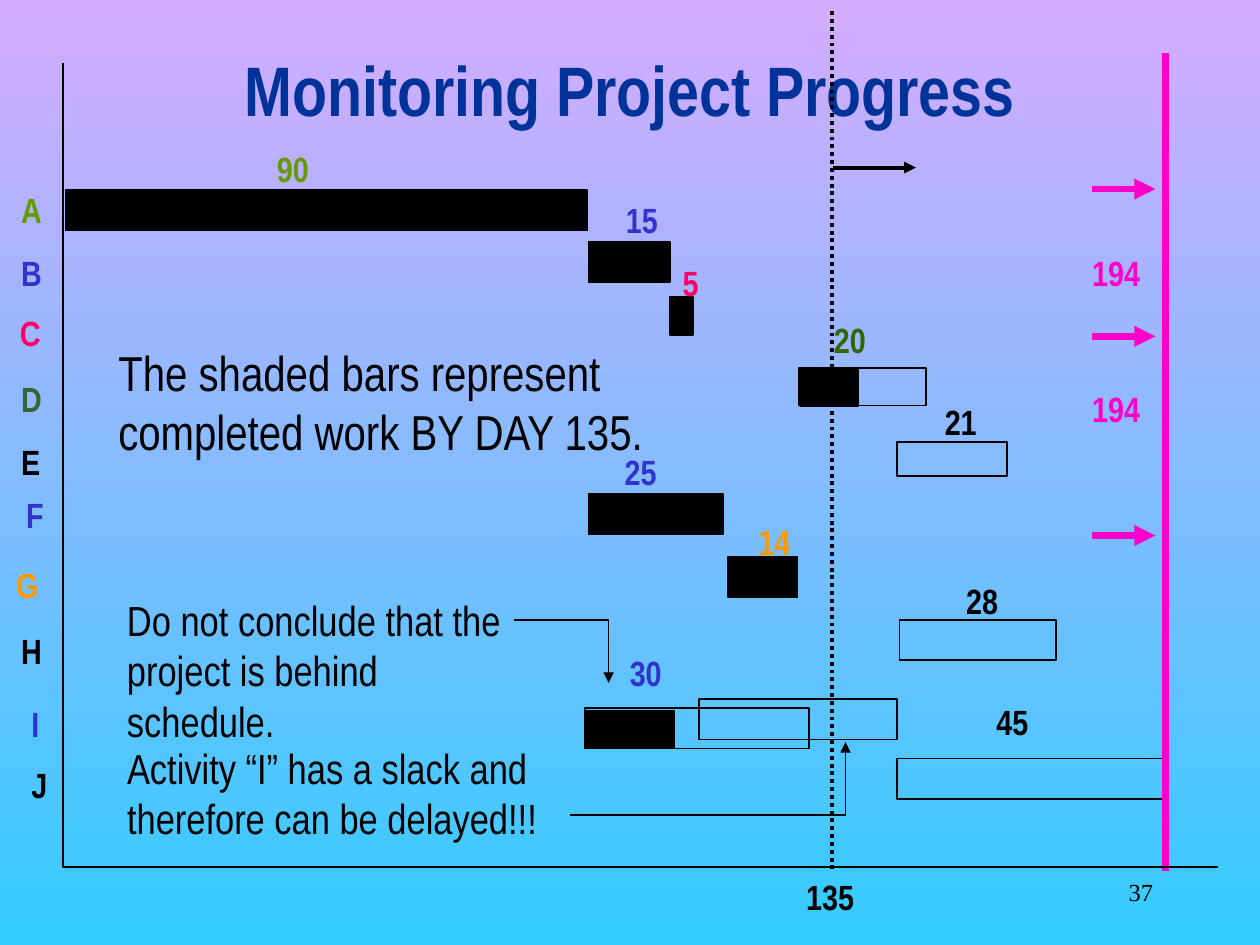
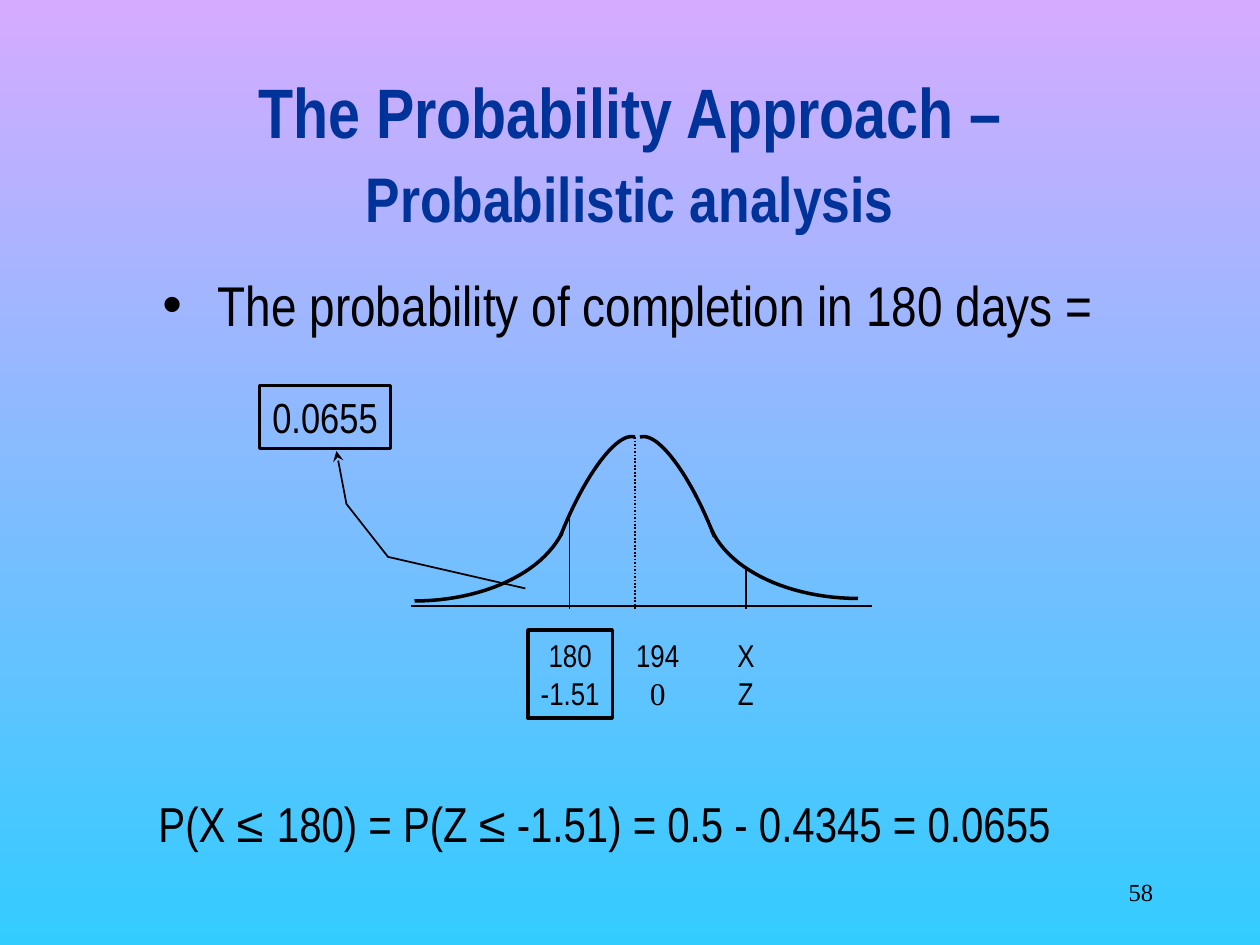
"""Build two project scheduling slides: a progress Gantt chart and a normal curve."""
from lxml.etree import SubElement
from pptx import Presentation
from pptx.dml.color import RGBColor
from pptx.enum.dml import MSO_LINE
from pptx.enum.shapes import MSO_CONNECTOR, MSO_SHAPE
from pptx.enum.text import MSO_ANCHOR, MSO_AUTO_SIZE, PP_ALIGN
from pptx.oxml.ns import qn
from pptx.util import Pt

PX = 9144
rgb = RGBColor.from_string
BLACK, NAVY, PINK = "000000", "003399", "FF00CC"
GREEN, BLUE, RED, ORANGE = "669900", "3333CC", "FF0066", "FF9900"
NARROW, TIMES = "Arial Narrow", "Times New Roman"
LABEL = {"size": Pt(20), "bold": True}
TITLE = {"size": Pt(40), "bold": True}
NOTE = {"size": Pt(24)}
BIG = {"size": Pt(28)}
TICK = {"size": Pt(18)}


def add_text(s, box, paras, fmt, color=BLACK, align=PP_ALIGN.LEFT, fit=True, border=0):
    tb = s.shapes.add_textbox(*[v * PX for v in box])
    if border:
        tb.line.color.rgb = rgb(BLACK)
        tb.line.width = Pt(border)
    tf = tb.text_frame
    tf.word_wrap = not fit
    tf.auto_size = MSO_AUTO_SIZE.SHAPE_TO_FIT_TEXT if fit else MSO_AUTO_SIZE.NONE
    tf.vertical_anchor = MSO_ANCHOR.TOP if fit else MSO_ANCHOR.MIDDLE
    for i, para in enumerate(paras):
        p = tf.add_paragraph() if i else tf.paragraphs[0]
        p.alignment = align
        for content, extra in [(para, {})] if isinstance(para, str) else para:
            r = p.add_run()
            r.text = content
            r.font.color.rgb = rgb(color)
            for name, value in {"name": NARROW, **fmt, **extra}.items():
                setattr(r.font, name, value)
    return tf


def add_path(s, pts, color=BLACK, width=1.0, dash=None, arrow=None):
    pts = [(round(x * PX), round(y * PX)) for x, y in pts]
    if len(pts) == 2:
        shp = s.shapes.add_connector(MSO_CONNECTOR.STRAIGHT, *pts[0], *pts[1])
    else:
        fb = s.shapes.build_freeform(*pts[0])
        fb.add_line_segments(pts[1:], close=False)
        shp = fb.convert_to_shape()
        shp.fill.background()
    shp.line.color.rgb = rgb(color)
    shp.line.width = Pt(width)
    if dash:
        shp.line.dash_style = dash
    spPr = shp.element.spPr
    if arrow:
        SubElement(spPr.get_or_add_ln(), qn("a:tailEnd"), type=arrow)
    SubElement(spPr, qn("a:effectLst"))


prs = Presentation()
prs.slide_width, prs.slide_height = 1000 * PX, 750 * PX
fill = prs.slide_master.background.fill
fill.gradient()
fill.gradient_angle = 270
for stop, position, color in zip(fill.gradient_stops, (0, 1), ("D5ABFF", "33CCFF")):
    stop.position = position
    stop.color.rgb = rgb(color)

titles = [
    (37, (75, 33, 850, 75), ["Monitoring Project Progress"]),
    (58, (75, 58, 850, 125), ["The Probability Approach –",
                              [("Probabilistic analysis", {"size": Pt(36)})]]),
]
slides = []
for number, box, title in titles:
    s = prs.slides.add_slide(prs.slide_layouts[6])
    tf = add_text(s, box, title, TITLE, NAVY, PP_ALIGN.CENTER, fit=False)
    for p in tf.paragraphs[1:]:
        p.space_before = Pt(4)
    add_text(s, (717, 683, 208, 50), [str(number)], {"size": Pt(14), "name": TIMES},
             align=PP_ALIGN.RIGHT, fit=False)
    slides.append(s)
gantt, curve = slides

s = gantt
activities = [
    ("A", (7, 145, 37), GREEN, "90", (210, 112, 46), GREEN),
    ("B", (7, 195, 37), BLUE, "15", (487, 153, 46), BLUE),
    ("C", (6, 242, 37), RED, "5", (532, 203, 33), RED),
    ("D", (7, 295, 37), "336633", "20", (652, 248, 46), "336600"),
    ("E", (7, 345, 35), BLACK, "21", (740, 313, 46), BLACK),
    ("F", (11, 387, 32), BLUE, "25", (486, 353, 46), BLUE),
    ("G", (3, 442, 38), ORANGE, "14", (592, 408, 46), ORANGE),
    ("H", (7, 495, 37), BLACK, "28", (757, 455, 46), BLACK),
    ("I", (15, 553, 27), BLUE, "30", (490, 512, 46), BLUE),
    ("J", (15, 601, 33), BLACK, "45", (781, 551, 46), BLACK),
]
bars = [
    (52, 151, 414, 32, True), (467, 192, 65, 32, True), (532, 236, 18, 30, True),
    (634, 292, 101, 30, False), (712, 351, 87, 27, False), (467, 392, 107, 32, True),
    (578, 442, 55, 32, True), (714, 492, 124, 32, False), (464, 562, 178, 32, False),
    (712, 602, 212, 32, False), (555, 555, 157, 32, False),
    (635, 293, 46, 29, True), (464, 564, 71, 30, True),
]
add_path(s, [(660, 690), (660, 7)], width=2.25, dash=MSO_LINE.ROUND_DOT)
for *box, done in bars:
    bar = s.shapes.add_shape(MSO_SHAPE.RECTANGLE, *[v * PX for v in box])
    bar.shadow.inherit = False
    bar.line.color.rgb = rgb(BLACK)
    bar.line.width = Pt(1)
    if done:
        bar.fill.solid()
        bar.fill.fore_color.rgb = rgb(BLACK)
    else:
        bar.fill.background()
for letter, (x, y, w), color, days, (dx, dy, dw), days_color in activities:
    add_text(s, (x, y, w, 43), [letter], LABEL, color)
    add_text(s, (dx, dy, dw, 43), [days], LABEL, days_color)

add_path(s, [(925, 691), (925, 42)], PINK, 4)
for y in (150, 267, 425):
    add_path(s, [(867, y), (917, y)], PINK, 4, arrow="triangle")
for y in (195, 303):
    add_text(s, (857, y, 58, 43), ["194"], LABEL, PINK)
add_path(s, [(50, 50), (50, 688), (967, 688)])
add_text(s, (630, 690, 58, 43), ["135"], LABEL)
add_path(s, [(661, 133), (727, 133)], width=2.25, arrow="triangle")

add_text(s, (84, 267, 448, 104),
         ["The shaded bars represent", "completed work BY DAY 135."], BIG)
add_text(s, (91, 467, 343, 90),
         ["Do not conclude that the", "project is behind schedule."], NOTE)
add_text(s, (91, 584, 345, 90),
         ["Activity “I” has a slack and", "therefore can be delayed!!!"], NOTE)
add_path(s, [(408, 492), (483, 492), (483, 542)], arrow="triangle")
add_path(s, [(452, 647), (671, 647), (671, 589)], arrow="triangle")

s = curve
tf = add_text(s, (119, 210, 789, 63), ["The probability of completion in 180 days ="],
              {"size": Pt(32)}, fit=False)
pPr = tf.paragraphs[0]._p.get_or_add_pPr()
pPr.set("marL", str(44 * PX))
pPr.set("indent", str(-44 * PX))
SubElement(pPr, qn("a:buFont"), typeface="Arial")
SubElement(pPr, qn("a:buChar"), char="•")

arial = {"name": "Arial"}
add_text(s, (116, 625, 773, 57), [[
    ("P(X ", {}), ("≤ ", arial), ("180) = P(Z ", {}), ("≤", arial),
    (" -1.51) = 0.5 - 0.4345 = 0.0655", {})]], BIG)

ticks = [
    ((419, 500, 67, 70), ["180", "-1.51"], TICK, 2),
    ((495, 500, 54, 70), ["194", [("0", {"name": TIMES})]], TICK, 0),
    ((575, 500, 34, 70), ["X", "Z"], TICK, 0),
    ((206, 306, 104, 50), ["0.0655"], NOTE, 2),
]
for box, paras, fmt, border in ticks:
    add_text(s, box, paras, fmt, align=PP_ALIGN.CENTER, border=border)

beziers = [
    [(446, 423), (430, 455), (383, 477), (329, 477)],
    [(681, 475), (627, 475), (580, 453), (565, 421)],
    [(445, 425), (464, 377), (490, 342), (504, 347)],
    [(508, 347), (522, 342), (548, 377), (567, 426)],
]
for ctrl in beziers:
    pts = []
    for i in range(25):
        t = i / 24
        weights = ((1 - t) ** 3, 3 * t * (1 - t) ** 2, 3 * t * t * (1 - t), t ** 3)
        pts.append([sum(k * v for k, v in zip(weights, axis)) for axis in zip(*ctrl)])
    add_path(s, pts, width=2)

add_path(s, [(326, 481), (692, 481)])
add_path(s, [(504, 347), (504, 483)], dash=MSO_LINE.ROUND_DOT)
for x, y in ((452, 408), (592, 450)):
    add_path(s, [(x, y), (x, 483)])
add_path(s, [(417, 467), (308, 442), (275, 400), (267, 358)], arrow="stealth")

prs.save("out.pptx")
